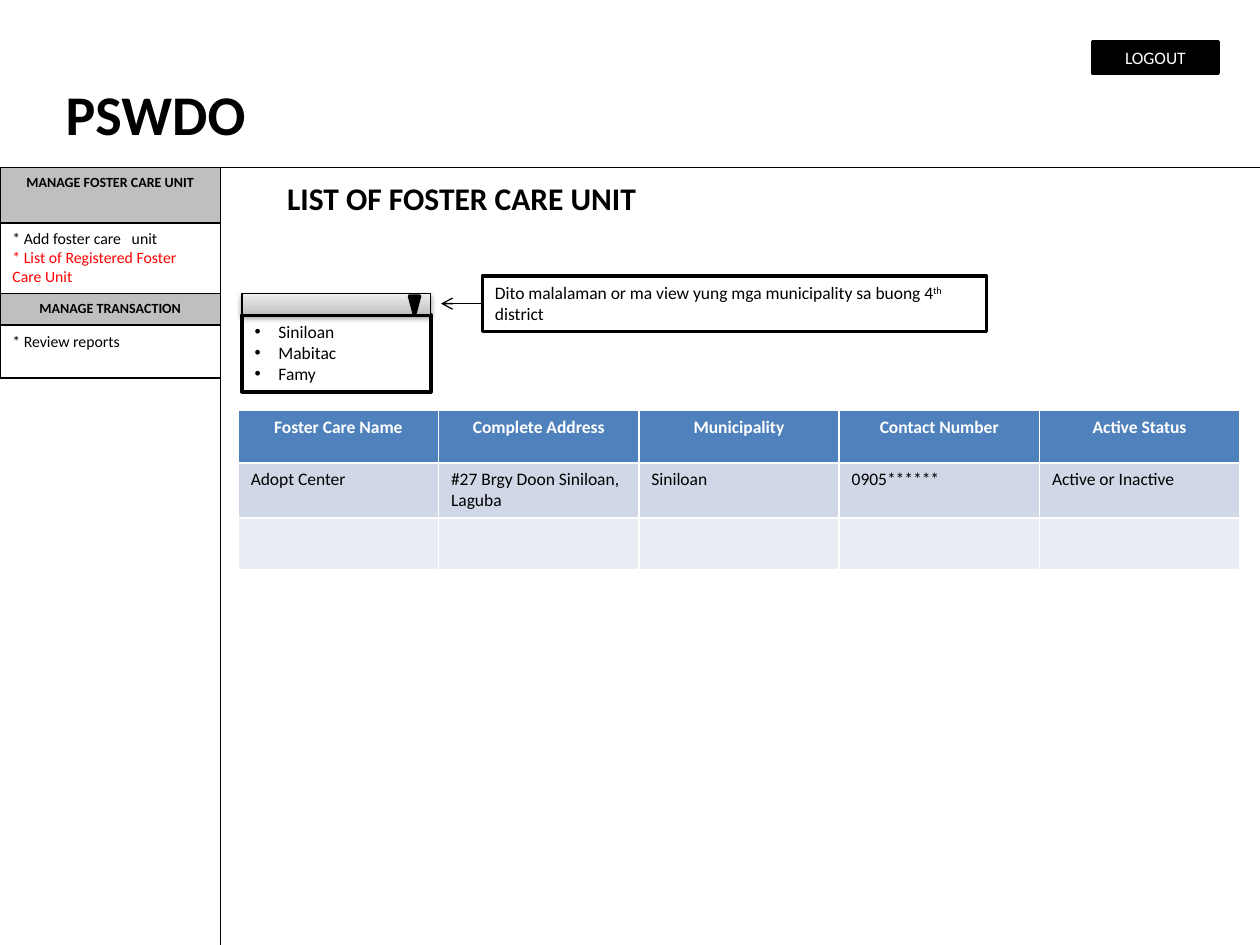
from copy import deepcopy
from lxml import etree
from pptx import Presentation
from pptx.dml.color import RGBColor
from pptx.enum.shapes import MSO_CONNECTOR, MSO_SHAPE
from pptx.enum.text import MSO_ANCHOR, MSO_AUTO_SIZE, PP_ALIGN
from pptx.oxml.ns import qn
from pptx.util import Inches, Pt

RECT, MERGE = MSO_SHAPE.RECTANGLE, MSO_SHAPE.FLOWCHART_MERGE
LEFT, CENTER = PP_ALIGN.LEFT, PP_ALIGN.CENTER
TOP, MIDDLE = MSO_ANCHOR.TOP, MSO_ANCHOR.MIDDLE
BLACK = RGBColor(0x00, 0x00, 0x00)
WHITE = RGBColor(0xFF, 0xFF, 0xFF)
RED = RGBColor(0xFF, 0x00, 0x00)
GRAY = RGBColor(0xBF, 0xBF, 0xBF)
BLUE = RGBColor(0x4F, 0x81, 0xBD)
BANDS = [RGBColor(0xD0, 0xD8, 0xE8), RGBColor(0xE9, 0xED, 0xF4)]
SHADES = [(0, RGBColor(0xBD, 0xBD, 0xBD)), (0.35, RGBColor(0xD1, 0xD1, 0xD1)),
          (1, RGBColor(0xEE, 0xEE, 0xEE))]

WIDE, HIGH = 10, 7.5
SIDE, HEAD = 1.75, 1.33  # menu width, header height
DROP, DROP_W = 1.92, 1.5  # left and width of the drop-down
THIN, THICK = 0.75, 2

# top, height, is heading, lines with their colours
MENU = [
    (HEAD, 0.44, True, [("MANAGE FOSTER CARE UNIT", BLACK)]),
    (1.77, 0.64, False, [("* Add foster care   unit", BLACK),
                         ("* List of Registered Foster Care Unit", RED)]),
    (2.33, 0.25, True, [("MANAGE TRANSACTION", BLACK)]),
    (2.58, 0.42, False, [("* Review reports", BLACK)]),
]
TOWNS = ["Siniloan", "Mabitac", "Famy"]
NOTE = [("Dito malalaman or ma view yung mga municipality sa buong 4", 0),
        ("th", 30), (" district", 0)]
ROWS = [
    ["Foster Care Name", "Complete Address", "Municipality",
     "Contact Number", "Active Status"],
    ["Adopt Center", "#27 Brgy Doon Siniloan, Laguba", "Siniloan",
     "0905******", "Active or Inactive"],
    [""] * 5,
]


def write(frame, lines, size=10, bold=False, color=BLACK, align=LEFT, anchor=TOP):
    """Fill a frame; a line is text, (text, colour) or a list of (text, raise %)."""
    frame.word_wrap = True
    frame.auto_size = MSO_AUTO_SIZE.NONE
    frame.vertical_anchor = anchor
    for i, line in enumerate(lines):
        para = frame.add_paragraph() if i else frame.paragraphs[0]
        para.alignment = align
        para.space_before = Pt(0)
        tint = color
        if isinstance(line, tuple):
            line, tint = line
        for text, lift in line if isinstance(line, list) else [(line, 0)]:
            run = para.add_run()
            run.text = text
            font = run.font
            font.name, font.size, font.bold = "Calibri", Pt(size), bold
            font.color.rgb = tint
            if lift:
                run._r.get_or_add_rPr().set("baseline", str(lift * 1000))


def paint(shape, fill, width):
    shape.fill.solid()
    shape.fill.fore_color.rgb = fill
    shape.line.color.rgb = BLACK
    shape.line.width = Pt(width)


def place(shape, *box):
    shape.left, shape.top, shape.width, shape.height = map(Inches, box)


def box(slide, area, fill=WHITE, width=THIN, kind=RECT):
    shape = slide.shapes.add_shape(kind, *map(Inches, area))
    shape.shadow.inherit = False
    paint(shape, fill, width)
    return shape


def rule(slide, x1, y1, x2, y2):
    line = slide.shapes.add_connector(
        MSO_CONNECTOR.STRAIGHT, *map(Inches, (x1, y1, x2, y2)))
    line.line.color.rgb = BLACK
    line.line.width = Pt(THIN)
    etree.SubElement(line._element.spPr, qn("a:effectLst"))
    return line


def shade(shape):
    """Give the drop-down its three-stop gradient and soft shadow."""
    props = shape._element.spPr
    shape.fill.gradient()
    stops = props.find(".//" + qn("a:gsLst"))
    stops.append(deepcopy(stops[0]))
    for stop, (spot, color) in zip(shape.fill.gradient_stops, SHADES):
        stop.position, stop.color.rgb = spot, color
    shape.fill.gradient_angle = 90
    glow = etree.SubElement(
        props.find(qn("a:effectLst")), qn("a:outerShdw"), blurRad=str(Pt(3.1)),
        dist=str(Pt(1.6)), dir="5400000", rotWithShape="0")
    tint = etree.SubElement(glow, qn("a:srgbClr"), val=str(BLACK))
    etree.SubElement(tint, qn("a:alpha"), val="38000")


def grid(slide):
    rows, cols = len(ROWS), len(ROWS[0])
    table = slide.shapes.add_table(
        rows, cols, *map(Inches, (1.89, 3.26, 7.95, 1.24))).table
    for r, row in enumerate(ROWS):
        head = r == 0
        for c, text in enumerate(row):
            cell = table.cell(r, c)
            cell.fill.solid()
            cell.fill.fore_color.rgb = BLUE if head else BANDS[(r - 1) % 2]
            if text:
                para = cell.text_frame.paragraphs[0]
                para.alignment = CENTER if head else LEFT
                run = para.add_run()
                run.text = text
                font = run.font
                font.name, font.size, font.bold = "Calibri", Pt(10), head
                font.color.rgb = WHITE if head else BLACK


def main():
    deck = Presentation()
    deck.slide_width, deck.slide_height = Inches(WIDE), Inches(HIGH)
    slide = deck.slides.add_slide(deck.slide_layouts[1])
    title, towns = slide.placeholders

    place(title, 0.42, 0.58, 3, 0.64)
    write(title.text_frame, ["PSWDO"], size=32, bold=True)
    place(towns, DROP, 2.5, DROP_W, 0.61)
    paint(towns, WHITE, THICK)
    write(towns.text_frame, TOWNS)
    for para in towns.text_frame.paragraphs:
        props = para._p.get_or_add_pPr()
        props.set("marL", str(Inches(0.19)))
        props.set("indent", str(Inches(-0.19)))

    rule(slide, SIDE, HEAD, SIDE, HIGH)
    rule(slide, 0, HEAD, WIDE, HEAD)
    for top, tall, head, lines in MENU:
        item = box(slide, (0, top, SIDE, tall), GRAY if head else WHITE)
        write(item.text_frame, lines, size=8 if head else 9, bold=head,
              align=CENTER if head else LEFT)

    label = slide.shapes.add_textbox(*map(Inches, (SIDE, 1.37, 3.83, 0.4)))
    write(label.text_frame, ["LIST OF FOSTER CARE UNIT"], size=18, bold=True,
          align=CENTER)
    grid(slide)

    shade(box(slide, (DROP, 2.33, DROP_W, 0.17)))
    box(slide, (3.25, 2.35, 0.08, 0.15), BLACK, THICK, MERGE)
    note = box(slide, (3.83, 2.19, 4, 0.44), width=THICK)
    write(note.text_frame, [NOTE])
    arrow = rule(slide, 3.83, 2.41, 3.5, 2.41)
    arrow.begin_connect(note, 1)
    etree.SubElement(arrow.line._get_or_add_ln(), qn("a:tailEnd"), type="arrow")

    logout = box(slide, (8.67, 0.33, 1, 0.25), BLACK, THICK)
    write(logout.text_frame, ["LOGOUT"], color=WHITE, align=CENTER, anchor=MIDDLE)
    deck.save("out.pptx")


if __name__ == "__main__":
    main()
